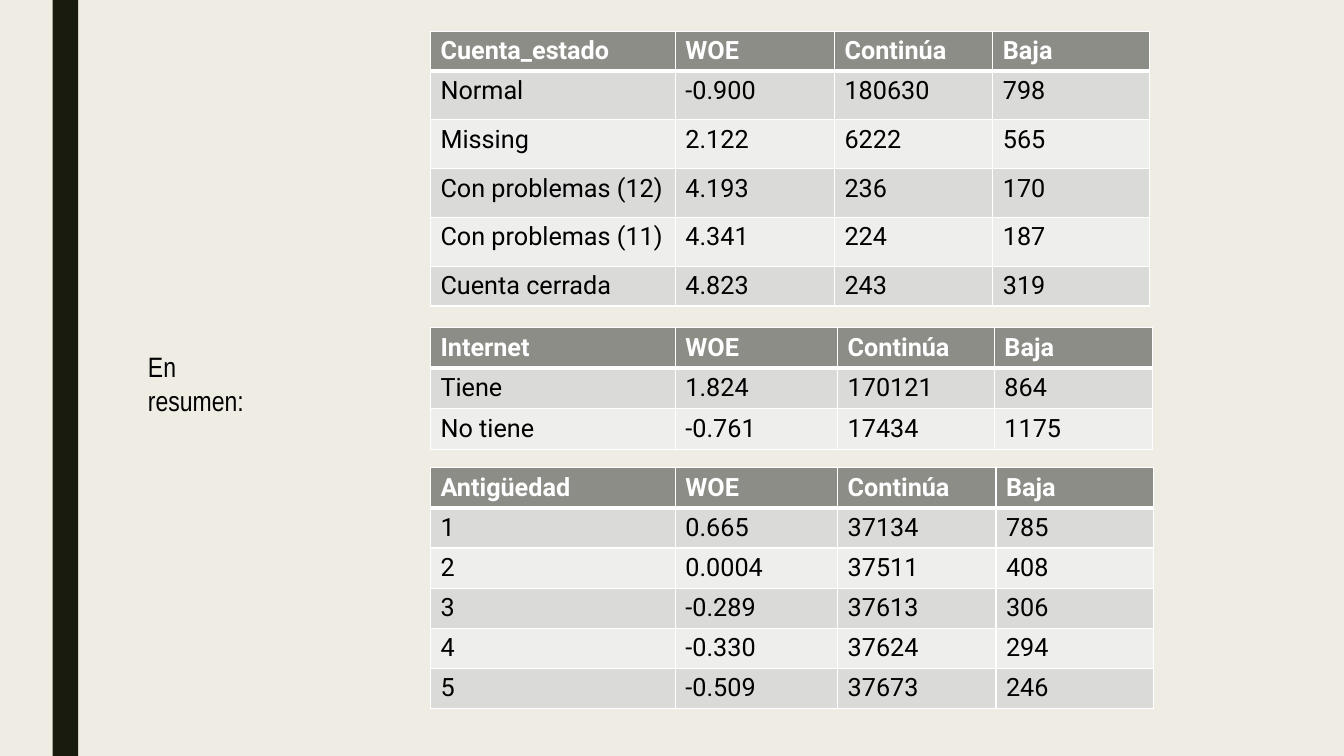
import pptx
import pptx.util
import pptx.dml.color
import pptx.enum.shapes
import pptx.oxml.ns
from lxml import etree
from pptx.util import Cm, Pt

# Content
SUMMARY = "En resumen:"
MEASURES = ("WOE", "Continúa", "Baja")
TABLES = [
    {
        "variable": "Cuenta_estado", "top": 0.79,
        "widths": (6.17, 4.01, 3.99, 3.94),
        "heights": (1.0, 1.23, 1.23, 1.23, 1.23, 1.0),
        "rows": [
            ("Normal", "-0.900", "180630", "798"),
            ("Missing", "2.122", "6222", "565"),
            ("Con problemas (12)", "4.193", "236", "170"),
            ("Con problemas (11)", "4.341", "224", "187"),
            ("Cuenta cerrada", "4.823", "243", "319"),
        ],
    },
    {
        "variable": "Internet", "top": 8.26,
        "widths": (6.17, 4.09, 3.95, 3.99),
        "heights": (1.02,) * 3,
        "rows": [
            ("Tiene", "1.824", "170121", "864"),
            ("No tiene", "-0.761", "17434", "1175"),
        ],
    },
    {
        "variable": "Antigüedad", "top": 11.79,
        "widths": (6.17, 4.09, 3.99, 3.96),
        "heights": (1.01,) * 6,
        "rows": [
            ("1", "0.665", "37134", "785"),
            ("2", "0.0004", "37511", "408"),
            ("3", "-0.289", "37613", "306"),
            ("4", "-0.330", "37624", "294"),
            ("5", "-0.509", "37673", "246"),
        ],
    },
]
TABLE_LEFT = 10.85

THEME = {
    "background": "EFEDE3", "stripe": "191B0E",
    "header": "8C8D86", "bands": ("DADBD9", "EEEEED"),
    "light": "FFFFFF", "text": "000000",
    "table_font": "Roboto", "table_size": 18,
    "summary_font": "Arial Narrow", "summary_size": 20,
    "border": 1, "header_border": 3,
}


def color(name):
    return pptx.dml.color.RGBColor.from_string(name)


def paint(fill, name):
    fill.solid()
    fill.fore_color.rgb = color(name)


def style_text(tf, font, size, name, bold=False):
    for p in tf.paragraphs:
        for r in p.runs:
            r.font.name = font
            r.font.size = Pt(size)
            r.font.bold = bold
            r.font.color.rgb = color(name)


def set_borders(cell, top, bottom):
    qn = pptx.oxml.ns.qn
    tc_pr = cell._tc.get_or_add_tcPr()
    sides = {"L": THEME["border"], "R": THEME["border"], "T": top, "B": bottom}
    for side, width in sides.items():
        ln = etree.SubElement(tc_pr, qn(f"a:ln{side}"), w=str(Pt(width)))
        solid = etree.SubElement(ln, qn("a:solidFill"))
        etree.SubElement(solid, qn("a:srgbClr"), val=THEME["light"])


def add_woe_table(s, data):
    rows = [(data["variable"], *MEASURES), *data["rows"]]
    widths, heights = data["widths"], data["heights"]
    table = s.shapes.add_table(
        len(rows), len(widths), Cm(TABLE_LEFT), Cm(data["top"]),
        Cm(sum(widths)), Cm(sum(heights))).table
    for column, width in zip(table.columns, widths):
        column.width = Cm(width)
    for i, values in enumerate(rows):
        table.rows[i].height = Cm(heights[i])
        header = i == 0
        fill = THEME["header"] if header else THEME["bands"][(i - 1) % 2]
        top = THEME["header_border"] if i == 1 else THEME["border"]
        bottom = THEME["header_border"] if header else THEME["border"]
        for j, value in enumerate(values):
            cell = table.cell(i, j)
            set_borders(cell, top, bottom)
            paint(cell.fill, fill)
            cell.text_frame.text = value
            style_text(cell.text_frame, THEME["table_font"], THEME["table_size"],
                       THEME["light"] if header else THEME["text"], header)


def main():
    prs = pptx.Presentation()
    prs.slide_width, prs.slide_height = Cm(33.87), Cm(19.05)
    s = prs.slides.add_slide(prs.slide_layouts[6])
    paint(s.background.fill, THEME["background"])

    # Side stripe
    stripe = s.shapes.add_shape(
        pptx.enum.shapes.MSO_SHAPE.RECTANGLE, Cm(1.33), 0, Cm(0.64), prs.slide_height)
    stripe.shadow.inherit = False
    paint(stripe.fill, THEME["stripe"])
    stripe.line.fill.background()

    # Tables
    for data in TABLES:
        add_woe_table(s, data)

    # Summary label
    tf = s.shapes.add_textbox(Cm(3.48), Cm(8.69), Cm(3.28), Cm(1.9)).text_frame
    tf.word_wrap = True
    tf.text = SUMMARY
    style_text(tf, THEME["summary_font"], THEME["summary_size"], THEME["text"])

    prs.save("out.pptx")


if __name__ == "__main__":
    main()
